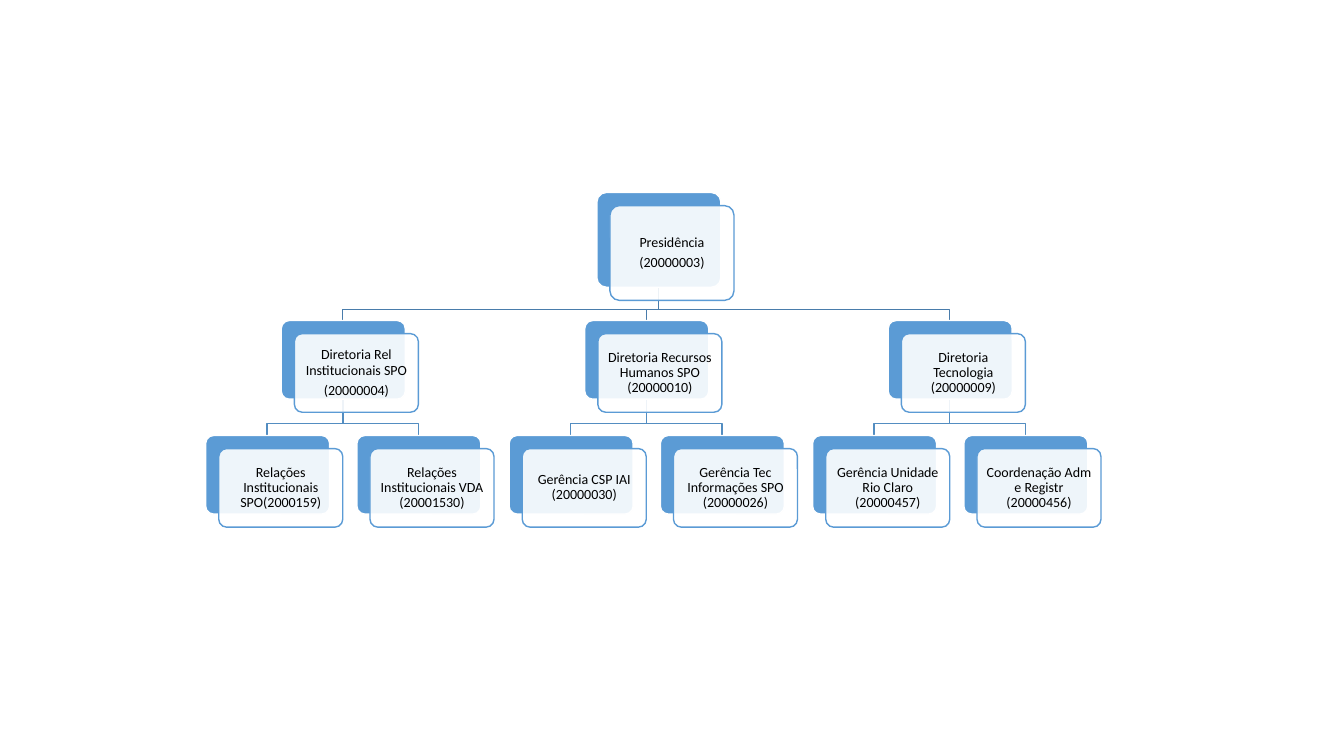
from lxml import etree
from pptx import Presentation
from pptx.dml.color import RGBColor
from pptx.enum.shapes import MSO_SHAPE
from pptx.enum.text import MSO_ANCHOR, PP_ALIGN
from pptx.oxml.ns import qn
from pptx.util import Pt

ROUNDED = MSO_SHAPE.ROUNDED_RECTANGLE
MIDDLE = MSO_ANCHOR.MIDDLE
CENTER = PP_ALIGN.CENTER

PX = 9144
COLORS = {
    "box": "5B9BD5",
    "card": "FFFFFF",
    "text": "000000",
    "upper_link": "497CAB",
    "lower_link": "538DC1",
}
BOX_W, OFFSET, INSET = 123, 13, 4
LEFT, STEP = 204, 150.4
ROOT_X, ROOT_Y, ROOT_H = 592, 191, 94
BOARD_Y, UNIT_Y, BOX_H = 318, 432, 78

PRESIDENCY = ["Presidência", "(20000003)"]
BOARDS = [
    (["Diretoria Rel Institucionais SPO", "(20000004)"],
     ["Relações Institucionais SPO(2000159)",
      "Relações Institucionais VDA (20001530)"]),
    (["Diretoria Recursos Humanos SPO (20000010)"],
     ["Gerência CSP IAI (20000030)",
      "Gerência Tec Informações SPO (20000026)"]),
    (["Diretoria Tecnologia (20000009)"],
     ["Gerência Unidade Rio Claro (20000457)",
      "Coordenação Adm e Registr (20000456)"]),
]


class OrgChart:
    """Draws the boxes and links of an organisation chart on one slide."""

    def __init__(self, s):
        self.s = s

    def color(self, name):
        return RGBColor.from_string(COLORS[name])

    def outline(self, sp, name):
        sp.shadow.inherit = False
        sp.line.color.rgb = self.color(name)
        sp.line.width = Pt(1)

    def link(self, x1, y1, x2, y2, name):
        bend = y1 + round((y2 - y1) * 2 / 3)
        builder = self.s.shapes.build_freeform(x1, y1, scale=PX)
        builder.add_line_segments([(x1, bend), (x2, bend), (x2, y2)], close=False)
        sp = builder.convert_to_shape()
        sp.fill.background()
        self.outline(sp, name)

    def panel(self, x, y, h, fill, line):
        sp = self.s.shapes.add_shape(ROUNDED, x * PX, y * PX, BOX_W * PX, h * PX)
        sp.adjustments[0] = 0.1
        sp.fill.solid()
        sp.fill.fore_color.rgb = self.color(fill)
        self.outline(sp, line)
        return sp

    def box(self, x, y, h, lines):
        self.panel(x, y, h, "box", "card")
        card = self.panel(x + OFFSET, y + OFFSET, h, "card", "box")
        rgb = card.fill._xPr.find(qn("a:solidFill")).find(qn("a:srgbClr"))
        etree.SubElement(rgb, qn("a:alpha"), val="90000")
        tf = card.text_frame
        tf.word_wrap = True
        tf.vertical_anchor = MIDDLE
        tf.margin_left = tf.margin_right = INSET * PX
        tf.margin_top = tf.margin_bottom = INSET * PX
        tf.text = "\n".join(lines)
        for p in tf.paragraphs:
            p.alignment = CENTER
            p.line_spacing = 0.9
            p.space_after = Pt(3.5)
            p.font.name = "Calibri"
            p.font.size = Pt(10)
            p.font.color.rgb = self.color("text")


def column(slot):
    return round(LEFT + STEP * slot)


def main():
    prs = Presentation()
    prs.slide_width, prs.slide_height = 1333 * PX, 750 * PX
    chart = OrgChart(prs.slides.add_slide(prs.slide_layouts[6]))
    mid = BOX_W // 2
    boxes = [(ROOT_X, ROOT_Y, ROOT_H, PRESIDENCY)]
    for i, (board, units) in enumerate(BOARDS):
        board_x = column(2 * i + 0.5)
        boxes.append((board_x, BOARD_Y, BOX_H, board))
        chart.link(ROOT_X + mid, ROOT_Y + ROOT_H, board_x + mid, BOARD_Y, "upper_link")
        for j, unit in enumerate(units):
            unit_x = column(2 * i + j)
            boxes.append((unit_x, UNIT_Y, BOX_H, [unit]))
            chart.link(board_x + mid, BOARD_Y + BOX_H, unit_x + mid, UNIT_Y, "lower_link")
    for box in boxes:
        chart.box(*box)
    prs.save("out.pptx")


if __name__ == "__main__":
    main()
